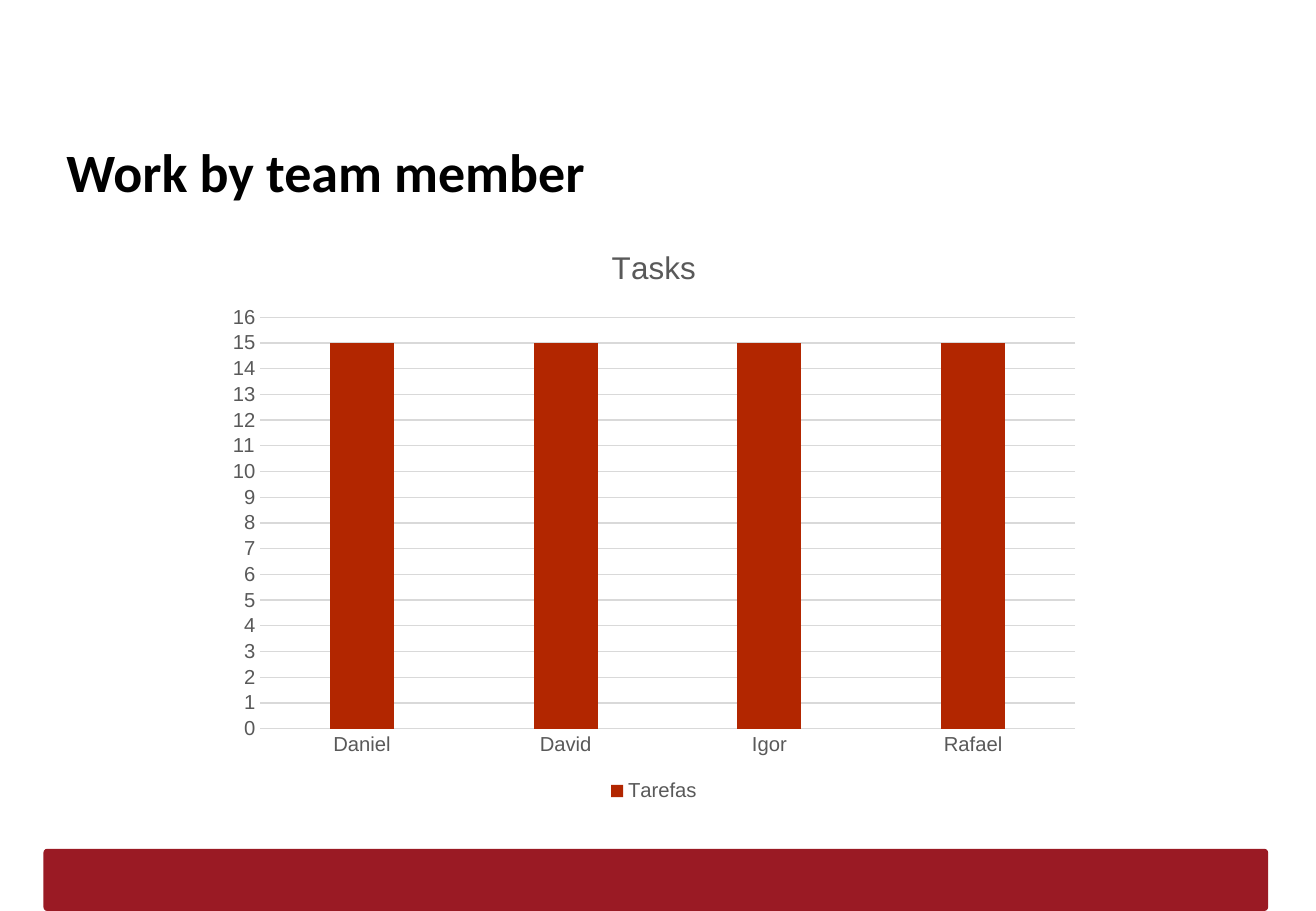
import pptx
import pptx.chart.data
import pptx.dml.color
import pptx.enum.chart
import pptx.enum.shapes
import pptx.enum.text
import pptx.util
from pptx.util import Cm

GREY = "595959"
GRID = "D9D9D9"


def rgb(value):
    """Return the colour for a hex string."""
    return pptx.dml.color.RGBColor.from_string(value)


def set_font(font, name, size, color, bold=False):
    """Set the face, size, colour and weight of a font."""
    font.name = name
    font.size = pptx.util.Pt(size)
    font.color.rgb = rgb(color)
    font.bold = bold


def set_line(line, color):
    """Give a line the thin chart stroke."""
    line.color.rgb = rgb(color)
    line.width = pptx.util.Pt(0.75)


def add_footer_bar(s):
    """Add the rounded bar at the foot of the slide."""
    sp = s.shapes.add_shape(
        pptx.enum.shapes.MSO_SHAPE.ROUNDED_RECTANGLE,
        Cm(0.91), Cm(17.75), Cm(25.6), Cm(1.3))
    sp.adjustments[0] = 0.06
    sp.shadow.inherit = False
    sp.fill.solid()
    sp.fill.fore_color.rgb = rgb("9A1A24")
    sp.line.fill.background()


def set_title(s, text):
    """Place and format the title placeholder."""
    sp = s.shapes.title
    sp.left, sp.top, sp.width, sp.height = Cm(1.14), Cm(2.77), Cm(25.12), Cm(1.6)
    tf = sp.text_frame
    tf.text = text
    tf.word_wrap = True
    tf.auto_size = pptx.enum.text.MSO_AUTO_SIZE.NONE
    tf.vertical_anchor = pptx.enum.text.MSO_ANCHOR.MIDDLE
    tf.margin_left = tf.margin_right = Cm(0.25)
    tf.margin_top = tf.margin_bottom = Cm(0.25)
    p = tf.paragraphs[0]
    p.alignment = pptx.enum.text.PP_ALIGN.LEFT
    set_font(p.font, "Calibri", 32, "000000", True)


def style_axis(axis):
    """Remove tick marks and set the label font of an axis."""
    axis.major_tick_mark = pptx.enum.chart.XL_TICK_MARK.NONE
    axis.minor_tick_mark = pptx.enum.chart.XL_TICK_MARK.NONE
    set_font(axis.tick_labels.font, "Arial", 12, GREY)


def add_task_chart(s, title, series_name, tasks):
    """Add the column chart of tasks for each member."""
    data = pptx.chart.data.CategoryChartData()
    data.categories = list(tasks)
    data.add_series(series_name, list(tasks.values()))
    chart = s.shapes.add_chart(
        pptx.enum.chart.XL_CHART_TYPE.COLUMN_CLUSTERED,
        Cm(4.5), Cm(4.65), Cm(18.34), Cm(12.22), data).chart
    set_font(chart.font, "Arial", 10, "000000")

    chart.has_title = True
    chart.chart_title.include_in_layout = False
    tf = chart.chart_title.text_frame
    tf.text = title
    set_font(tf.paragraphs[0].font, "Arial", 18.6, GREY)

    chart.has_legend = True
    chart.legend.position = pptx.enum.chart.XL_LEGEND_POSITION.BOTTOM
    chart.legend.include_in_layout = False
    set_font(chart.legend.font, "Arial", 12, GREY)

    style_axis(chart.category_axis)
    set_line(chart.category_axis.format.line, GRID)
    axis = chart.value_axis
    style_axis(axis)
    axis.format.line.fill.background()
    axis.minimum_scale, axis.maximum_scale, axis.major_unit = 0, 16, 1
    axis.has_major_gridlines = True
    set_line(axis.major_gridlines.format.line, GRID)

    plot = chart.plots[0]
    plot.vary_by_categories = False
    plot.gap_width, plot.overlap = 219, -27
    fill = plot.series[0].format.fill
    fill.solid()
    fill.fore_color.rgb = rgb("B22600")


def main():
    """Build and save the slide."""
    prs = pptx.Presentation()
    prs.slide_width, prs.slide_height = Cm(27.51), Cm(19.05)
    s = prs.slides.add_slide(prs.slide_layouts[5])
    add_footer_bar(s)
    set_title(s, "Work by team member")
    members = ["Daniel", "David", "Igor", "Rafael"]
    add_task_chart(s, "Tasks", "Tarefas", dict.fromkeys(members, 15))
    prs.save("out.pptx")


if __name__ == "__main__":
    main()
